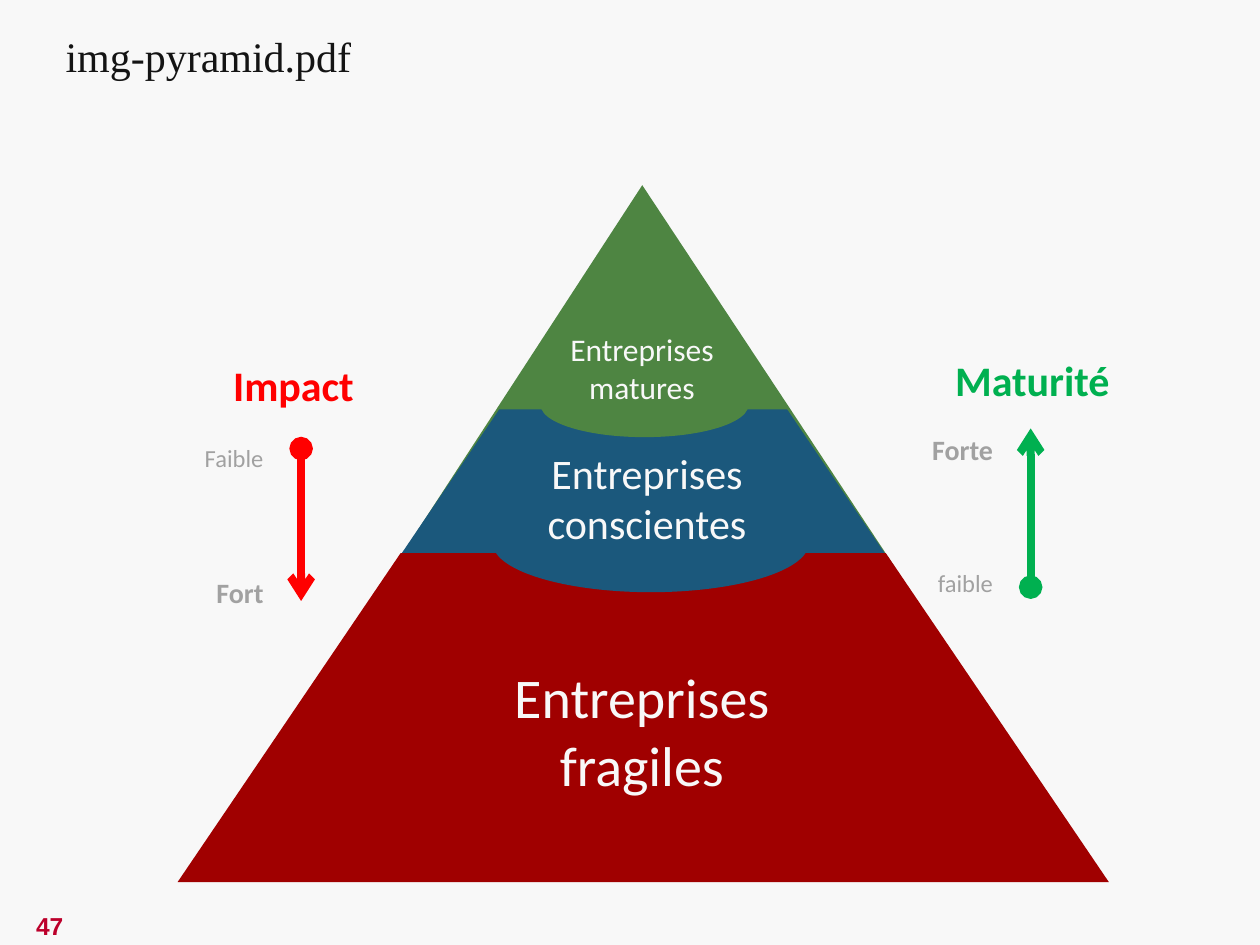
import pptx
import pptx.dml.color
import pptx.enum.shapes
import pptx.enum.text
import pptx.oxml.ns
import pptx.util
from dataclasses import dataclass
from lxml import etree

Inches = pptx.util.Inches
Pt = pptx.util.Pt
MSO_SHAPE = pptx.enum.shapes.MSO_SHAPE
PP_ALIGN = pptx.enum.text.PP_ALIGN
qn = pptx.oxml.ns.qn


@dataclass(frozen=True)
class Theme:
    paper: str = "F8F8F8"
    ink: str = "141414"
    muted: str = "A1A1A1"
    page: str = "BC002B"
    mature: str = "4E8542"
    aware: str = "1B587C"
    fragile: str = "A00000"
    impact: str = "FF0000"
    maturity: str = "00B050"
    body_font: str = "Calibri"
    title_font: str = "Times New Roman"
    page_font: str = "Arial"
    huge: int = 32
    heading: int = 24
    medium: int = 18
    strong: int = 16
    small: int = 14


THEME = Theme()
TIGHT = (0.07, 0.04)
NORMAL = (0.1, 0.05)


def rgb(color):
    return pptx.dml.color.RGBColor.from_string(color)


def style(paragraph, size, color, bold=False, font=THEME.body_font):
    for run in paragraph.runs:
        run.font.name = font
        run.font.size = Pt(size)
        run.font.bold = bold
        run.font.color.rgb = rgb(color)


def set_frame(frame, wrap, insets):
    frame.word_wrap = wrap
    frame.margin_left = frame.margin_right = Inches(insets[0])
    frame.margin_top = frame.margin_bottom = Inches(insets[1])


def add_text(shapes, box, text, size, color, align=PP_ALIGN.CENTER,
             wrap=True, insets=TIGHT, bold=False, font=THEME.body_font):
    label = shapes.add_textbox(*map(Inches, box))
    frame = label.text_frame
    set_frame(frame, wrap, insets)
    frame.text = text
    frame.paragraphs[0].alignment = align
    style(frame.paragraphs[0], size, color, bold, font)
    return frame


def add_solid(shapes, kind, box, color, adjustment=None):
    solid = shapes.add_shape(kind, *map(Inches, box))
    solid.shadow.inherit = False
    solid.fill.solid()
    solid.fill.fore_color.rgb = rgb(color)
    solid.line.fill.background()
    if adjustment is not None:
        solid.adjustments[0] = adjustment


def add_arrow(shapes, x, start, end, color):
    arrow = shapes.add_connector(
        pptx.enum.shapes.MSO_CONNECTOR.STRAIGHT,
        Inches(x), Inches(start), Inches(x), Inches(end))
    arrow.line.color.rgb = rgb(color)
    arrow.line.width = Pt(4.5)
    outline = arrow.line._get_or_add_ln()
    for tag, ending in (("a:headEnd", "oval"), ("a:tailEnd", "arrow")):
        etree.SubElement(outline, qn(tag), type=ending)
    etree.SubElement(arrow._element.spPr, qn("a:effectLst"))


def add_scale(shapes, x, start, end, color, box, levels):
    scale = shapes.add_group_shape().shapes
    add_arrow(scale, x, start, end, color)
    (top, top_size, top_bold), (bottom, bottom_size, bottom_bold) = levels
    frame = add_text(scale, box, top, top_size, THEME.muted, PP_ALIGN.RIGHT,
                     wrap=False, insets=NORMAL, bold=top_bold)
    last = frame.add_paragraph()
    last.text = bottom
    last.alignment = PP_ALIGN.RIGHT
    last.space_before = Pt(58.5)
    style(last, bottom_size, THEME.muted, bottom_bold)


def add_title(slide, box, text):
    title = slide.shapes.title
    title.left, title.top, title.width, title.height = map(Inches, box)
    frame = title.text_frame
    set_frame(frame, False, NORMAL)
    frame.auto_size = pptx.enum.text.MSO_AUTO_SIZE.NONE
    frame.vertical_anchor = pptx.enum.text.MSO_ANCHOR.TOP
    frame.text = text
    frame.paragraphs[0].alignment = PP_ALIGN.LEFT
    style(frame.paragraphs[0], THEME.heading, THEME.ink, font=THEME.title_font)


def add_pyramid(shapes):
    add_solid(shapes, MSO_SHAPE.ISOSCELES_TRIANGLE, (2.95, 1.47, 4.33, 3.3),
              THEME.mature, 0.496)
    for box, color in (((2.85, 3.25, 4.51, 1.64), THEME.aware),
                       ((1.41, 4.39, 7.39, 2.61), THEME.fragile)):
        add_solid(shapes, MSO_SHAPE.TRAPEZOID, box, color, 0.678)
    for box, color in (((3.91, 3.92, 2.51, 0.78), THEME.aware),
                       ((4.29, 2.96, 1.65, 0.51), THEME.mature)):
        add_solid(shapes, MSO_SHAPE.OVAL, box, color)
    for box, text, size, insets in (
            ((3.81, 5.22, 2.57, 1.15), "Entreprises fragiles", THEME.huge, TIGHT),
            ((4.11, 3.51, 2.05, 0.88), "Entreprises conscientes", THEME.heading, TIGHT),
            ((4.07, 2.57, 2.05, 0.71), "Entreprises matures", THEME.medium, NORMAL)):
        add_text(shapes, box, text, size, THEME.paper, insets=insets)


def main():
    deck = pptx.Presentation()
    deck.slide_width, deck.slide_height = Inches(10), Inches(7.5)
    slide = deck.slides.add_slide(deck.slide_layouts[5])
    slide.background.fill.solid()
    slide.background.fill.fore_color.rgb = rgb(THEME.paper)
    shapes = slide.shapes

    add_title(slide, (0.42, 0.19, 2.49, 0.5), "img-pyramid.pdf")
    add_pyramid(shapes)
    for box, text, color in (((1.78, 2.81, 1.12, 0.48), "Impact", THEME.impact),
                             ((7.51, 2.77, 1.39, 0.48), "Maturité", THEME.maturity)):
        add_text(shapes, box, text, THEME.heading, color, PP_ALIGN.LEFT,
                 wrap=False, bold=True)
    add_scale(shapes, 2.39, 3.56, 4.77, THEME.impact, (1.52, 3.47, 0.67, 1.41),
              (("Faible", THEME.small, False), ("Fort", THEME.strong, True)))
    add_scale(shapes, 8.18, 4.66, 3.4, THEME.maturity, (7.28, 3.38, 0.7, 1.45),
              (("Forte", THEME.strong, True), ("faible", THEME.small, False)))
    page = add_text(shapes, (-0.02, 7.18, 0.83, 0.34), "47", THEME.small, THEME.page,
                    insets=NORMAL, bold=True, font=THEME.page_font)
    page.vertical_anchor = pptx.enum.text.MSO_ANCHOR.MIDDLE
    deck.save("out.pptx")


if __name__ == "__main__":
    main()
